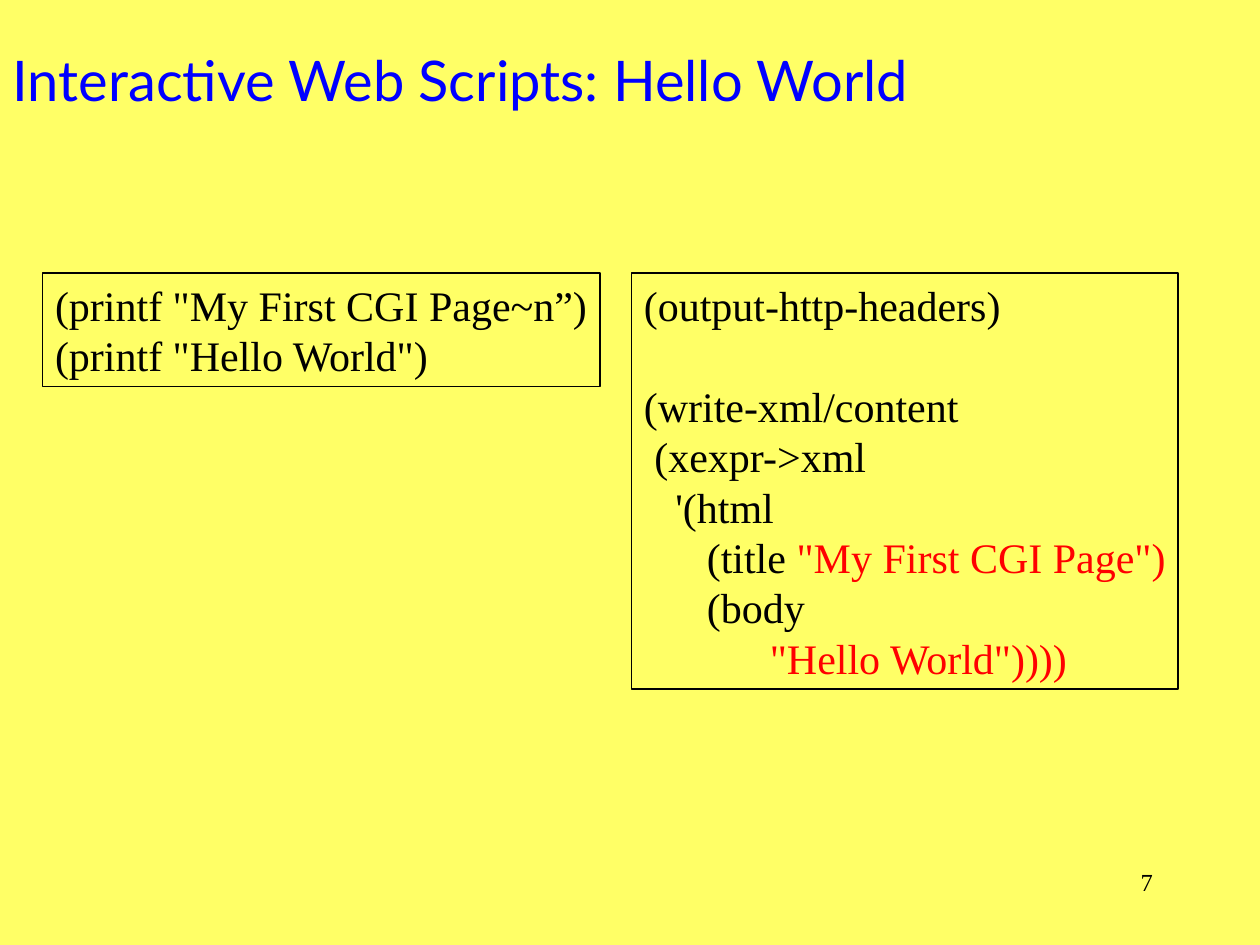
from pptx import Presentation
from pptx.dml.color import RGBColor
from pptx.enum.shapes import MSO_SHAPE as Shape
from pptx.enum.text import MSO_ANCHOR as Anchor, PP_ALIGN as Align
from pptx.util import Cm, Pt

THEME = {
    "background": "FFFF66", "heading": "0000FF", "code": "000000", "literal": "FF0000",
    "heading_font": "Lato", "code_font": "Times New Roman",
    "heading_size": 32, "code_size": 24, "number_size": 14,
    "code_pitch": 28.8, "border": 1,
}

HEADING = "Interactive Web Scripts: Hello World"
PAGE_NUMBER = "7"

# Each code line: indent in space widths, blank lines above, (text, colour) pieces
SERVER_SCRIPT = [
    (0, 0, [("(output-http-headers)", "code")]),
    (0, 1, [("(write-xml/content", "code")]),
    (1, 0, [("(xexpr->xml", "code")]),
    (3, 0, [("'(html", "code")]),
    (6, 0, [("(title ", "code"), ('"My First CGI Page")', "literal")]),
    (6, 0, [("(body", "code")]),
    (12, 0, [('"Hello World"))))', "literal")]),
]
PRINTF_SCRIPT = [
    (0, 0, [('(printf "My First CGI Page~n”)', "code")]),
    (0, 0, [('(printf "Hello World")', "code")]),
]

# Left, width in cm
LISTINGS = [(SERVER_SCRIPT, 12.73, 11.02), (PRINTF_SCRIPT, 0.86, 11.23)]
LISTING_TOP = 5.51
PADDING = 0.25  # above and below the code together


def rgb(name):
    return RGBColor.from_string(THEME[name])


def write(paragraph, text, *, color="code", font="code_font", size="code_size",
          align=Align.LEFT):
    paragraph.alignment = align
    run = paragraph.add_run()
    run.text = text
    run.font.name = THEME[font]
    run.font.size = Pt(THEME[size])
    run.font.color.rgb = rgb(color)


def add_listing(slide, lines, left, width):
    pitch = Pt(THEME["code_pitch"])
    space_width = Pt(THEME["code_size"] / 4)
    rows = sum(1 + blanks for _, blanks, _ in lines)
    box = slide.shapes.add_shape(Shape.RECTANGLE, Cm(left), Cm(LISTING_TOP),
                                 Cm(width), rows * pitch + Cm(PADDING))
    box.shadow.inherit = False
    box.fill.background()
    box.line.color.rgb = rgb("code")
    box.line.width = Pt(THEME["border"])
    frame = box.text_frame
    frame.word_wrap = False
    frame.vertical_anchor = Anchor.TOP
    for index, (indent, blanks, pieces) in enumerate(lines):
        paragraph = frame.add_paragraph() if index else frame.paragraphs[0]
        paragraph.line_spacing = pitch
        paragraph.space_before = blanks * pitch
        paragraph._p.get_or_add_pPr().set("marL", str(indent * space_width))
        for text, color in pieces:
            write(paragraph, text, color=color)


def main():
    deck = Presentation()
    deck.slide_width, deck.slide_height = Cm(25.4), Cm(19.05)
    slide = deck.slides.add_slide(deck.slide_layouts[5])
    slide.background.fill.solid()
    slide.background.fill.fore_color.rgb = rgb("background")

    title = slide.shapes.title
    title.left, title.top, title.width, title.height = Cm(0), Cm(0), Cm(21.59), Cm(3.18)
    title.text_frame.vertical_anchor = Anchor.MIDDLE
    write(title.text_frame.paragraphs[0], HEADING,
          color="heading", font="heading_font", size="heading_size")

    for lines, left, width in LISTINGS:
        add_listing(slide, lines, left, width)

    number = slide.shapes.add_textbox(Cm(18.21), Cm(17.35), Cm(5.28), Cm(1.27))
    number.text_frame.word_wrap = True
    write(number.text_frame.paragraphs[0], PAGE_NUMBER,
          size="number_size", align=Align.RIGHT)

    deck.save("out.pptx")


if __name__ == "__main__":
    main()
